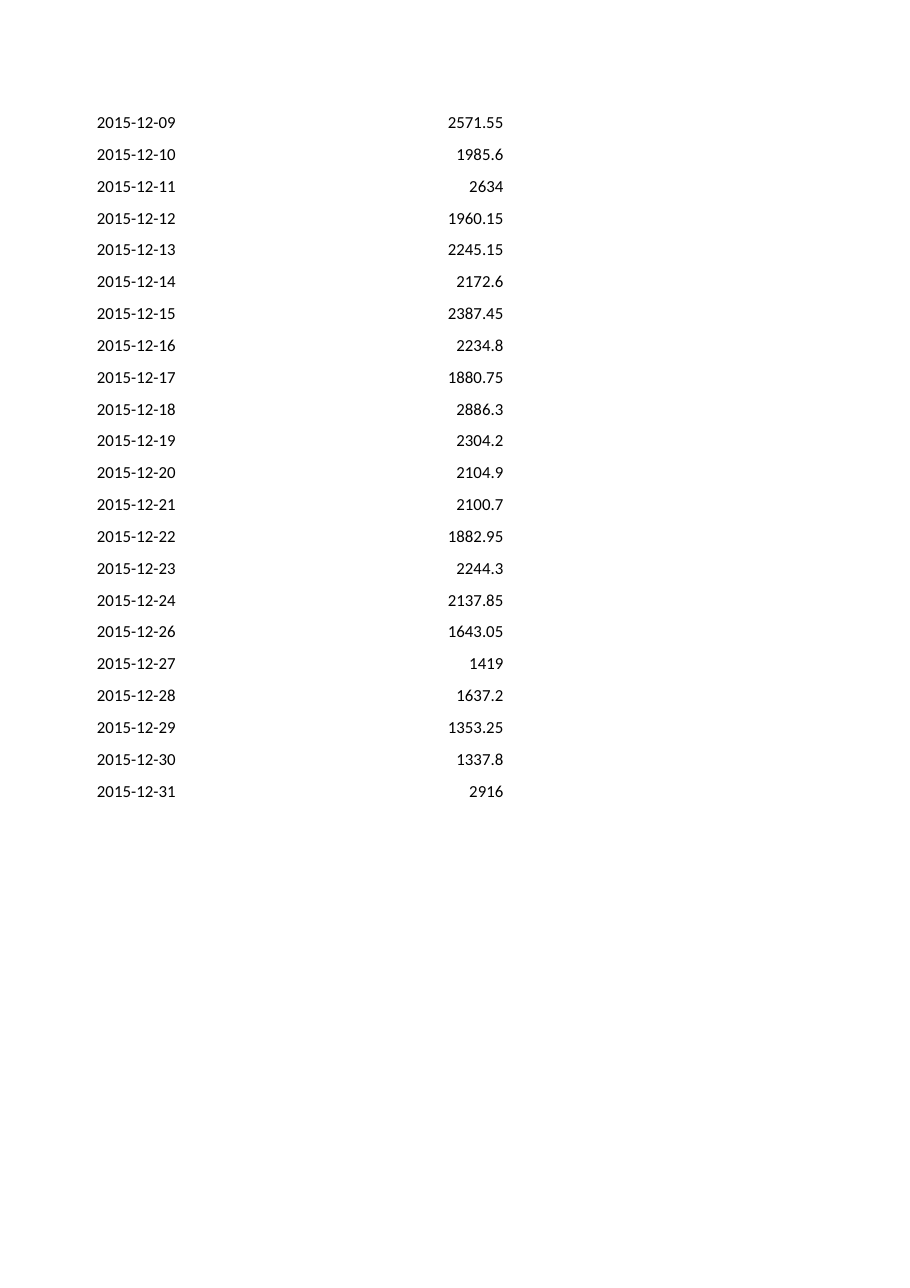
from typing import NamedTuple

from pptx import Presentation
from pptx.dml.color import RGBColor
from pptx.enum import text
from pptx.table import _Cell
from pptx.util import Pt

BLACK = RGBColor(0, 0, 0)
LEFT, TOP = 53.28, 69.84
DATE_WIDTH, AMOUNT_WIDTH = 149.04, 133.92
EDGE_ROW_HEIGHT, ROW_HEIGHT = 18, 14.5
DATE_MARGIN, AMOUNT_MARGIN = 10.08, 7.2


class DailyAmount(NamedTuple):
    day: int
    amount: str

    @property
    def date(self) -> str:
        return f"2015-12-{self.day:02d}"


DAYS = [day for day in range(9, 32) if day != 25]
AMOUNTS = [
    "2571.55", "1985.6", "2634", "1960.15", "2245.15", "2172.6", "2387.45", "2234.8",
    "1880.75", "2886.3", "2304.2", "2104.9", "2100.7", "1882.95", "2244.3", "2137.85",
    "1643.05", "1419", "1637.2", "1353.25", "1337.8", "2916",
]
DAILY_AMOUNTS = [DailyAmount(day, amount) for day, amount in zip(DAYS, AMOUNTS)]


def write_cell(cell: _Cell, content: str, *, align: text.PP_ALIGN, margin: float,
               size: float = 11, font: str = "Calibri", color: RGBColor = BLACK) -> None:
    cell.fill.background()
    cell.margin_left = Pt(margin)
    para = cell.text_frame.paragraphs[0]
    para.alignment = align
    span = para.add_run()
    span.text = content
    span.font.size = Pt(size)
    span.font.name = font
    span.font.color.rgb = color


def main() -> None:
    deck = Presentation()
    deck.slide_width, deck.slide_height = Pt(594.72), Pt(841.68)
    page = deck.slides.add_slide(deck.slide_layouts[6])

    last = len(DAILY_AMOUNTS) - 1
    heights = [EDGE_ROW_HEIGHT if index in (0, last) else ROW_HEIGHT
               for index in range(last + 1)]
    table = page.shapes.add_table(
        len(heights), 2, Pt(LEFT), Pt(TOP),
        Pt(DATE_WIDTH + AMOUNT_WIDTH), Pt(sum(heights))).table
    table.first_row = table.horz_banding = False
    for column, width in zip(table.columns, (DATE_WIDTH, AMOUNT_WIDTH)):
        column.width = Pt(width)

    for row, height, entry in zip(table.rows, heights, DAILY_AMOUNTS):
        row.height = Pt(height)
        date_cell, amount_cell = row.cells
        write_cell(date_cell, entry.date, align=text.PP_ALIGN.LEFT, margin=DATE_MARGIN)
        write_cell(amount_cell, entry.amount, align=text.PP_ALIGN.RIGHT, margin=AMOUNT_MARGIN)

    deck.save("out.pptx")


if __name__ == "__main__":
    main()
